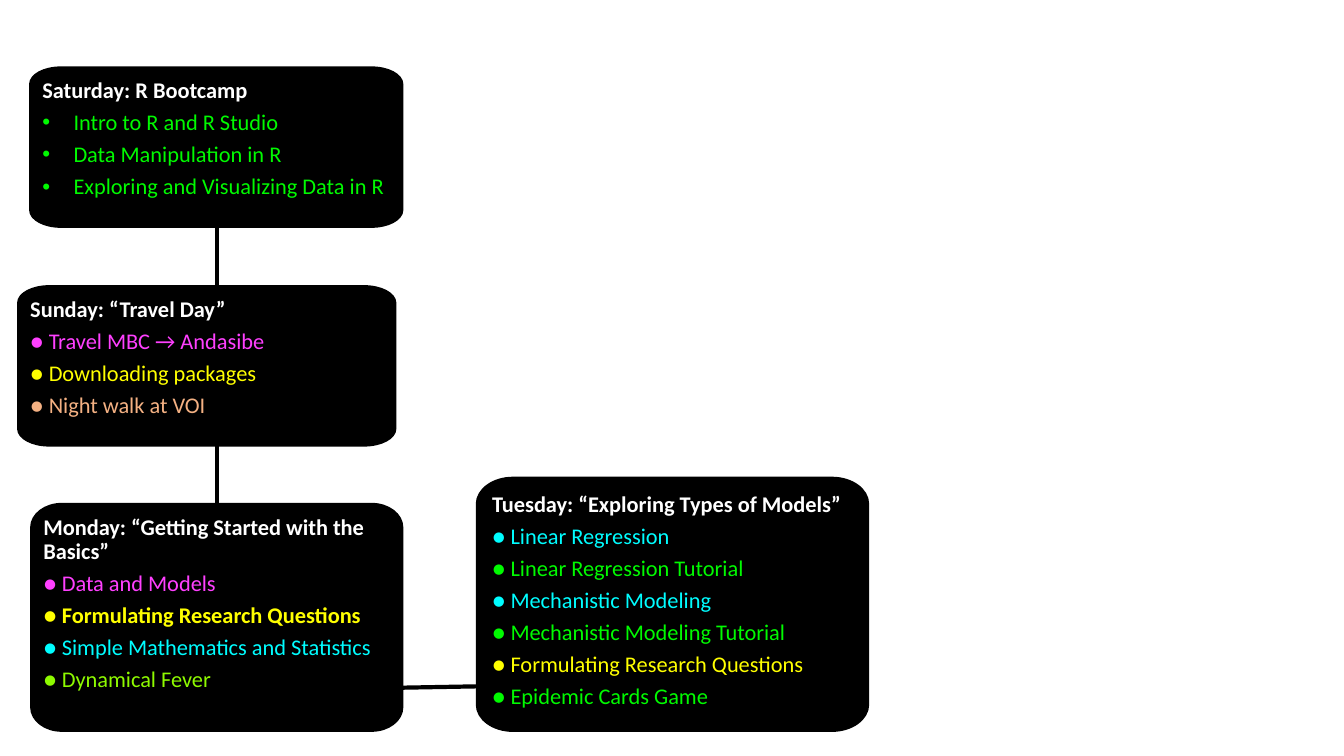
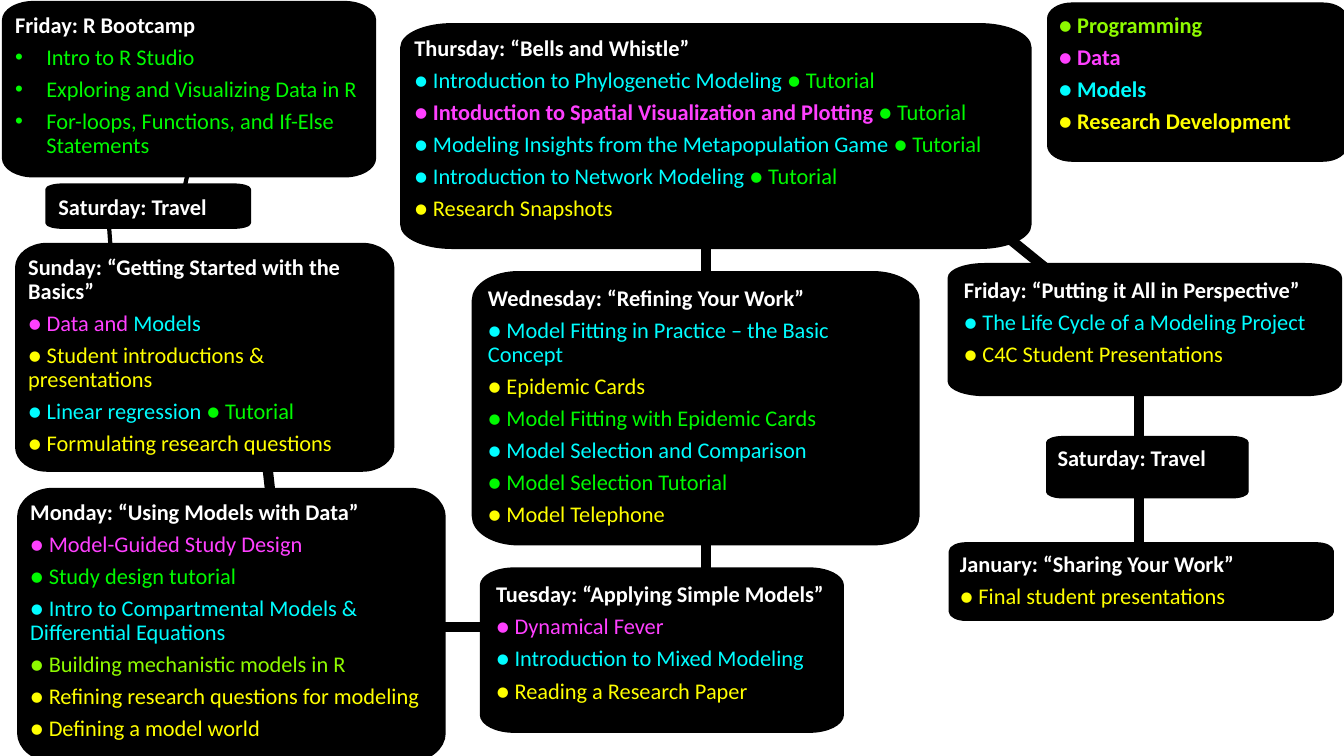
from lxml.etree import SubElement
from pptx import Presentation
from pptx.dml.color import RGBColor
from pptx.enum.shapes import MSO_CONNECTOR as Connector
from pptx.enum.text import MSO_ANCHOR as Anchor, PP_ALIGN as Align
from pptx.oxml.ns import qn
from pptx.util import Inches, Pt

COLOURS = {
    "box": "000000",
    "title": "FFFFFF",
    "programming": "8EFA00",
    "tutorial": "00FA00",
    "data": "FF40FF",
    "models": "00FDFF",
    "research": "FFFF00",
    "outing": "F4B183",
}
FONT = {"name": "Calibri", "size": Pt(16)}
PARAGRAPH = {"alignment": Align.LEFT, "line_spacing": 0.9, "space_after": Pt(5.6)}
THIN, THICK = 3, 7.3
CURVE = 0.45  # share of the radius between a corner and its control points
TUTORIAL = ("tutorial", "● Tutorial")


def colour(name):
    return RGBColor.from_string(COLOURS[name])


def set_values(target, values):
    for name, value in values.items():
        setattr(target, name, value)


def add_link(slide, start, end, width=THIN):
    """Line between two day boxes."""
    connector = slide.shapes.add_connector(
        Connector.STRAIGHT, *(Inches(value) for value in start + end))
    connector.line.width = Pt(width)
    connector.line.color.rgb = colour("box")
    SubElement(connector._element.spPr, qn("a:effectLst"))


def rounded_outline(left, top, width, height, corner):
    """Four points for each corner: start, two controls, end."""
    radius_x, radius_y = corner * width, 0.1 * height
    right, bottom = left + width, top + height
    corners = [
        (left, top, (0, radius_y), (radius_x, 0)),
        (right, top, (-radius_x, 0), (0, radius_y)),
        (right, bottom, (0, -radius_y), (-radius_x, 0)),
        (left, bottom, (radius_x, 0), (0, -radius_y)),
    ]
    return [
        (Inches(x + share * offset[0]), Inches(y + share * offset[1]))
        for x, y, before, after in corners
        for offset, share in ((before, 1), (before, CURVE), (after, CURVE), (after, 1))
    ]


def add_rounded_box(slide, box, corner):
    start, *points = rounded_outline(*box, corner)
    builder = slide.shapes.build_freeform(*start)
    builder.add_line_segments(points, close=True)
    shape = builder.convert_to_shape()
    # Turn the three segments of each corner into one curve
    segments = list(shape._element.iter(qn("a:lnTo")))
    for first in range(0, len(segments), 4):
        curve, *others = segments[first:first + 3]
        curve.tag = qn("a:cubicBezTo")
        for other in others:
            curve.append(other[0])
            other.getparent().remove(other)
    return shape


def add_bullet(paragraph):
    properties = paragraph._p.get_or_add_pPr()
    properties.set("marL", str(Inches(0.31)))
    properties.set("indent", str(-Inches(0.31)))
    SubElement(properties, qn("a:buFont")).set("typeface", "Arial")
    SubElement(properties, qn("a:buChar")).set("char", "•")


def add_day(slide, box, title, items, inset=0.11, corner=0.08,
            bulleted=False, border=THIN):
    """Rounded box; each item is a list of (colour, text[, bold]) runs."""
    shape = add_rounded_box(slide, box, corner)
    shape.shadow.inherit = False
    shape.fill.solid()
    shape.fill.fore_color.rgb = shape.line.color.rgb = colour("box")
    shape.line.width = Pt(border)

    frame = shape.text_frame
    set_values(frame, {"word_wrap": True, "vertical_anchor": Anchor.TOP})
    set_values(frame, {f"margin_{side}": Inches(inset)
                       for side in ("left", "top", "right", "bottom")})
    heading = [[("title", title, True)]] if title else []
    for index, runs in enumerate(heading + items):
        paragraph = frame.paragraphs[0] if index == 0 else frame.add_paragraph()
        if bulleted and index > 0:
            add_bullet(paragraph)
        set_values(paragraph, PARAGRAPH)
        for name, text, *bold in runs:
            run = paragraph.add_run()
            run.text = text
            set_values(run.font, {**FONT, "bold": bool(bold)})
            run.font.color.rgb = colour(name)


def add_schedule(presentation, links, days):
    """Slide with links behind the day boxes."""
    slide = presentation.slides.add_slide(presentation.slide_layouts[6])
    for link in links:
        add_link(slide, *link)
    for day in days:
        add_day(slide, **day)


# First week
FIRST_LINKS = [
    ((2.15, 5.42), (2.15, 1.62)),
    ((3.56, 6.83), (5.24, 6.8)),
]
FIRST_DAYS = [
    dict(box=(0.31, 0.68, 3.67, 1.56), title="Saturday: R Bootcamp", bulleted=True, items=[
        [("tutorial", "Intro to R and R Studio")],
        [("tutorial", "Data Manipulation in R")],
        [("tutorial", "Exploring and Visualizing Data in R")],
    ]),
    dict(box=(0.19, 2.85, 3.72, 1.56), title="Sunday: “Travel Day”", items=[
        [("data", "● Travel MBC → Andasibe")],
        [("research", "● Downloading packages")],
        [("outing", "● Night walk at VOI")],
    ]),
    dict(box=(0.32, 5.01, 3.66, 2.23), title="Monday: “Getting Started with the Basics”", items=[
        [("data", "● Data and Models")],
        [("research", "● Formulating Research Questions", True)],
        [("models", "● Simple Mathematics and Statistics")],
        [("programming", "● Dynamical Fever")],
    ]),
    dict(box=(4.74, 4.75, 3.86, 2.49), title="Tuesday: “Exploring Types of Models”",
         inset=0.14, corner=0.09, items=[
        [("models", "● Linear Regression")],
        [("tutorial", "● Linear Regression Tutorial")],
        [("models", "● Mechanistic Modeling")],
        [("tutorial", "● Mechanistic Modeling Tutorial")],
        [("research", "● Formulating Research Questions")],
        [("tutorial", "● Epidemic Cards Game")],
    ]),
]

# Full course
COURSE_LINKS = [
    ((1.86, 1.73), (1.8, 1.99)),
    ((1.07, 2.08), (1.11, 2.64)),
    ((2.6, 4.15), (2.79, 5.88), THICK),
    ((3.17, 6.22), (6.27, 6.22), THICK),
    ((7, 0.68), (7, 6.73), THICK),
    ((8.45, 1.1), (10.74, 2.96), THICK),
    ((11.3, 3.75), (11.3, 5.42), THICK),
]
COURSE_DAYS = [
    dict(box=(0.04, 0.03, 3.67, 1.71), title="Friday: R Bootcamp", bulleted=True, items=[
        [("tutorial", "Intro to R Studio")],
        [("tutorial", "Exploring and Visualizing Data in R")],
        [("tutorial", "For-loops, Functions, and If-Else Statements")],
    ]),
    dict(box=(0.47, 1.84, 2, 0.41), title="Saturday: Travel", items=[]),
    dict(box=(0.17, 2.43, 3.72, 2.23), title="Sunday: “Getting Started with the Basics”", items=[
        [("data", "● Data and "), ("models", "Models")],
        [("research", "● Student introductions & presentations")],
        [("models", "● Linear regression "), TUTORIAL],
        [("research", "● Formulating research questions")],
    ]),
    dict(box=(0.19, 4.86, 4.21, 2.68), title="Monday: “Using Models with Data”", items=[
        [("data", "● Model-Guided Study Design")],
        [("tutorial", "● Study design tutorial")],
        [("models", "● Intro to Compartmental Models & Differential Equations")],
        [("programming", "● Building mechanistic models in R")],
        [("research", "● Refining research questions for modeling")],
        [("research", "● Defining a model world")],
    ]),
    dict(box=(4.78, 5.65, 3.57, 1.6), title="Tuesday: “Applying Simple Models”",
         inset=0.14, corner=0.09, items=[
        [("data", "● Dynamical Fever")],
        [("models", "● Introduction to Mixed Modeling")],
        [("research", "● Reading a Research Paper")],
    ]),
    dict(box=(4.7, 2.71, 4.4, 2.68), title="Wednesday: “Refining Your Work”",
         inset=0.14, corner=0.1, items=[
        [("models", "● Model Fitting in Practice – the Basic Concept")],
        [("research", "● Epidemic Cards")],
        [("tutorial", "● Model Fitting with Epidemic Cards")],
        [("models", "● Model Selection and Comparison")],
        [("tutorial", "● Model Selection Tutorial")],
        [("research", "● Model Telephone")],
    ]),
    dict(box=(3.99, 0.25, 6.22, 2.2), title="Thursday: “Bells and Whistle”", inset=0.12, items=[
        [("models", "● Introduction to Phylogenetic Modeling "), TUTORIAL],
        [("data", "● Intoduction to Spatial Visualization and Plotting ", True), TUTORIAL],
        [("models", "● Modeling Insights from the Metapopulation Game "), TUTORIAL],
        [("models", "● Introduction to Network Modeling "), TUTORIAL],
        [("research", "● Research Snapshots")],
    ]),
    dict(box=(9.42, 2.63, 3.87, 1.28), title="Friday: “Putting it All in Perspective”",
         inset=0.14, corner=0.09, items=[
        [("models", "● The Life Cycle of a Modeling Project")],
        [("research", "● C4C Student Presentations")],
    ]),
    dict(box=(10.38, 4.33, 2, 0.61), title="Saturday: Travel", items=[], border=0.75),
    dict(box=(9.43, 5.4, 3.78, 0.74), title="January: “Sharing Your Work”",
         inset=0.09, corner=0.04, items=[
        [("research", "● Final student presentations")],
    ]),
    # Colour key
    dict(box=(10.39, 0.03, 2.97, 1.57), title=None, border=0.75, items=[
        [("programming", "● Programming", True)],
        [("data", "● Data", True)],
        [("models", "● Models", True)],
        [("research", "● Research Development", True)],
    ]),
]


def main():
    presentation = Presentation()
    set_values(presentation, {"slide_width": Inches(13.33), "slide_height": Inches(7.5)})
    add_schedule(presentation, FIRST_LINKS, FIRST_DAYS)
    add_schedule(presentation, COURSE_LINKS, COURSE_DAYS)
    presentation.save("out.pptx")


if __name__ == "__main__":
    main()
